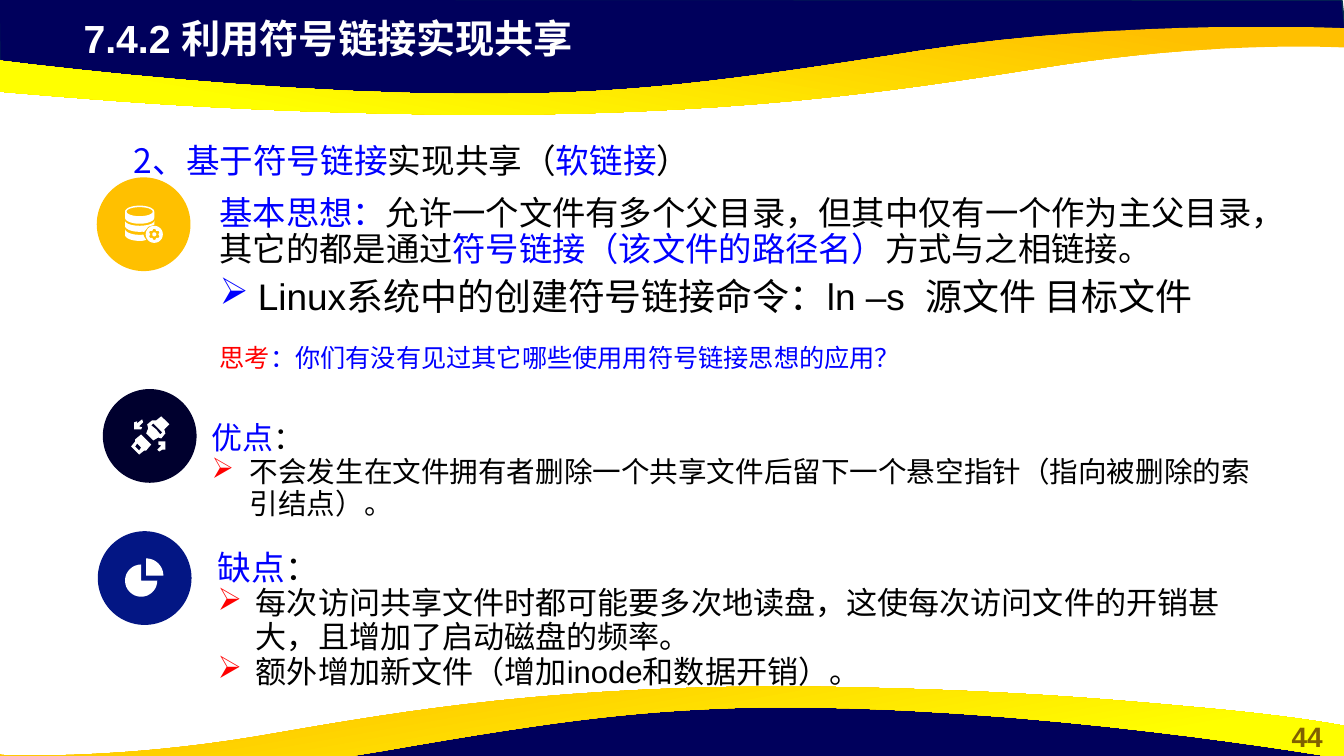
"""Build the slide on sharing files through symbolic links."""
from math import cos, radians, sin

from pptx import Presentation
from pptx.dml.color import RGBColor as Rgb
from pptx.enum.shapes import MSO_SHAPE as Form
from pptx.enum.text import MSO_ANCHOR as Anchor, PP_ALIGN as Align
from pptx.oxml.ns import qn
from pptx.util import Pt
from lxml.etree import SubElement as Sub

PX = 9144
NAVY, EDGE = Rgb(0x00, 0x00, 0x5C), Rgb(0x05, 0x30, 0x4F)
GOLD, SUN = Rgb(0xFF, 0xC0, 0x00), Rgb(0xFF, 0xFF, 0x00)
INK, DEEP = Rgb(0x00, 0x00, 0x2E), Rgb(0x03, 0x16, 0x84)
WHITE, BLACK = Rgb(0xFF, 0xFF, 0xFF), Rgb(0, 0, 0)
BLUE, RED = Rgb(0, 0, 0xFF), Rgb(0xFF, 0, 0)
OLIVE = Rgb(0x80, 0x60, 0x00)
LATIN, HAN = "Arial", "Noto Sans CJK SC"

WAVE = [(-1, -1), (0, 70), (293, 102), (559, 100), (795, 88), (1016, 50),
        (1238, 33), (1335, 38), (1331, 0)]
UPPER = [(483, 114), (443, 114, 401, 113, 356, 112),
         (206, 108, 110, 100, 36, 94), (-88, 84, -130, 75, -133, 75),
         (-133, 42), (-133, 42, 218, 98, 517, 93), (626, 91, 708, 83, 915, 50),
         (1121, 18, 1333, 28, 1333, 28), (1333, 47), (1330, 47),
         (1305, 46, 1195, 43, 1055, 64), (918, 85, 762, 113, 483, 114)]
LOWER = [(772, 681), (809, 681, 847, 682, 888, 683),
         (1025, 687, 1112, 695, 1179, 701), (1292, 711, 1330, 720, 1333, 720),
         (1333, 753), (1333, 753, 1014, 697, 742, 702),
         (642, 705, 567, 712, 380, 745), (192, 778, -1, 768, -1, 768),
         (-1, 748), (2, 749), (25, 750, 125, 752, 252, 731),
         (376, 710, 519, 682, 772, 681)]
CRAFT = [
    [(140, 431), (150, 441), (145, 447), (143, 447), (138, 451), (130, 443),
     (134, 438), (134, 436)],
    [(136, 440), (134, 443), (138, 447), (140, 444)],
    [(160, 413), (168, 421), (163, 426), (164, 430), (160, 435), (157, 434),
     (152, 437), (145, 430), (147, 425), (146, 421), (151, 417), (155, 417)],
    [(152, 420), (150, 422), (155, 426), (159, 431), (161, 429)],
    [(141, 416), (142, 419), (138, 423), (141, 424), (140, 426), (133, 426),
     (133, 419), (136, 418), (136, 420)],
    [(157, 438), (164, 438), (164, 446), (161, 446), (158, 448), (156, 446),
     (160, 442), (157, 441)]]
DISCS = [(96, 176, GOLD), (102, 386, INK), (97, 527, DEEP)]

TEXTS = [
    dict(box=(1260, 709, 73, 44), align=Align.CENTER, bold=True, paras=[
        dict(size=20, runs=[("44", OLIVE)])]),
    dict(box=(73, 9, 768, 57), bold=True, paras=[
        dict(size=28, runs=[("7.4.2 利用符号链接实现共享", WHITE)])]),
    dict(box=(208, 163, 1064, 184), mid=True, paras=[
        dict(size=23.8, gap=0.9, runs=[
            ("基本思想：", BLUE),
            ("允许一个文件有多个父目录，但其中仅有一个作为主父目录，"
             "其它的都是通过", BLACK),
            ("符号链接（该文件的路径名）", BLUE),
            ("方式与之相链接。", BLACK)]),
        dict(size=26.4, gap=1.12, mark=BLUE, runs=[
            ("Linux系统中的创建符号链接命令：ln –s  源文件 目标文件", BLACK)])]),
    dict(box=(200, 408, 1064, 117), mid=True, paras=[
        dict(size=22.1, runs=[("优点", BLUE), ("：", BLACK)]),
        dict(size=20.4, gap=0.95, mark=RED, runs=[
            ("不会发生在文件拥有者删除一个共享文件后留下一个悬空指针"
             "（指向被删除的索引结点）。", BLACK)])]),
    dict(box=(206, 526, 1042, 175), mid=True, paras=[
        dict(size=24.1, runs=[("缺点", BLUE), ("：", BLACK)]),
        dict(size=22.2, gap=0.92, mark=RED, runs=[
            ("每次访问共享文件时都可能要多次地读盘，"
             "这使每次访问文件的开销甚大，且增加了启动磁盘的频率。", BLACK)]),
        dict(size=22.2, gap=0.92, mark=RED, runs=[
            ("额外增加新文件（增加inode和数据开销）。", BLACK)])]),
    dict(box=(73, 113, 1187, 57), font=HAN, top=13, paras=[
        dict(size=24, gap=1.32, first=50, runs=[
            ("2、基于符号链接", BLUE), ("实现共享（", BLACK),
            ("软链接", BLUE), ("）", BLACK)])]),
    dict(box=(208, 335, 1064, 40), paras=[
        dict(size=18, runs=[
            ("思考", RED),
            ("：你们有没有见过其它哪些使用用符号链接思想的应用？", BLUE)])]),
]


def emu(*nums):
    return [round(n * PX) for n in nums]


def arc(x, y, wide, high, start, end, steps=24):
    turns = [radians(start + (end - start) * i / steps)
             for i in range(steps + 1)]
    return [(x + wide * cos(t), y + high * sin(t)) for t in turns]


def trace(path, steps=16):
    pts = [path[0]]
    for part in path[1:]:
        if len(part) == 2:
            pts.append(part)
            continue
        ends = [pts[-1], part[:2], part[2:4], part[4:]]
        for i in range(1, steps + 1):
            t = i / steps
            mix = ((1 - t) ** 3, 3 * t * (1 - t) ** 2,
                   3 * t * t * (1 - t), t ** 3)
            pts.append(tuple(sum(m * p[k] for m, p in zip(mix, ends))
                             for k in (0, 1)))
    return pts


def tint(shape, color):
    shape.shadow.inherit = False
    shape.fill.solid()
    shape.fill.fore_color.rgb = color
    shape.line.fill.background()


def draw(shapes, loops, color=WHITE):
    pen = None
    for loop in loops:
        pts = [emu(*p) for p in loop]
        if pen is None:
            pen = shapes.build_freeform(*pts[0], scale=1.0)
        else:
            pen.move_to(*pts[0])
        pen.add_line_segments(pts[1:], close=True)
    shape = pen.convert_to_shape()
    tint(shape, color)
    return shape


def add_wave(shapes):
    wave = draw(shapes, [WAVE], NAVY)
    wave.line.color.rgb = EDGE
    wave.line.width = Pt(1)
    return wave


def add_band(shapes, path, angle):
    fill = draw(shapes, [trace(path)]).fill
    fill.gradient()
    fill.gradient_angle = angle
    for stop, at, color in zip(fill.gradient_stops, (0.11, 0.78), (GOLD, SUN)):
        stop.position = at
        stop.color.rgb = color


def add_text(shapes, box, paras, font=LATIN, align=Align.LEFT, bold=False,
             mid=False, top=5):
    frame = shapes.add_textbox(*emu(*box)).text_frame
    frame.word_wrap = True
    frame.margin_top = emu(top)[0]
    frame.vertical_anchor = Anchor.MIDDLE if mid else Anchor.TOP
    for i, item in enumerate(paras):
        para = frame.add_paragraph() if i else frame.paragraphs[0]
        para.alignment = align
        props = para._p.get_or_add_pPr()
        if "first" in item:
            props.set("indent", str(item["first"] * PX))
        if "mark" in item:
            props.set("marL", str(38 * PX))
            props.set("indent", str(-38 * PX))
            hue = Sub(props, qn("a:buClr"))
            Sub(hue, qn("a:srgbClr")).set("val", str(item["mark"]))
            Sub(props, qn("a:buChar")).set("char", "➢")
        if "gap" in item:
            para.line_spacing = item["gap"]
        for words, color in item["runs"]:
            run = para.add_run()
            run.text = words
            run.font.size = Pt(item["size"])
            run.font.bold = bold
            run.font.color.rgb = color
            run.font.name = font
            Sub(run._r.get_or_add_rPr(), qn("a:ea")).set("typeface", HAN)


def disk_loops():
    x, wide = 138.5, 14.5
    gear = [arc(153, 232.5, r, r, a, a, 1)[0]
            for a in range(0, 360, 60)
            for r, a in ((4, a), (5.5, a + 20), (5.5, a + 40))]
    return [
        arc(x, 210, wide, 6, 180, 360) + arc(x, 216, wide, 6, 0, 180),
        arc(x, 210, 13, 4.5, 0, 360),
        arc(x, 219, wide, 5, 180, 0) + [(153, 223), (147, 225), (143, 230)]
        + arc(x, 224, wide, 6, 80, 180),
        arc(x, 227, wide, 6, 180, 75) + [(143, 235), (145, 238)]
        + arc(x, 233, wide, 6, 75, 180),
        arc(153, 232.5, 8.5, 8.5, 0, 360), gear,
        arc(153, 232.5, 2, 2, 0, 360)]


def main():
    deck = Presentation()
    deck.slide_width, deck.slide_height = emu(1333, 750)
    shapes = deck.slides.add_slide(deck.slide_layouts[6]).shapes
    add_wave(shapes)
    add_band(shapes, UPPER, 260)
    foot = add_wave(shapes)
    foot.left, foot.top = emu(-3, 691)
    foot.rotation = 180
    add_band(shapes, LOWER, 280)
    for x, y, color in DISCS:
        tint(shapes.add_shape(Form.OVAL, *emu(x, y, 93, 93)), color)
    pie = [[(140, 576)] + arc(140, 576, 16, 16, 0, 270),
           [(145, 571)] + arc(145, 571, 17, 17, 270, 360)]
    for loops in (CRAFT, pie, disk_loops()):
        draw(shapes, loops)
    for item in TEXTS:
        add_text(shapes, **item)
    deck.save("out.pptx")


if __name__ == "__main__":
    main()
